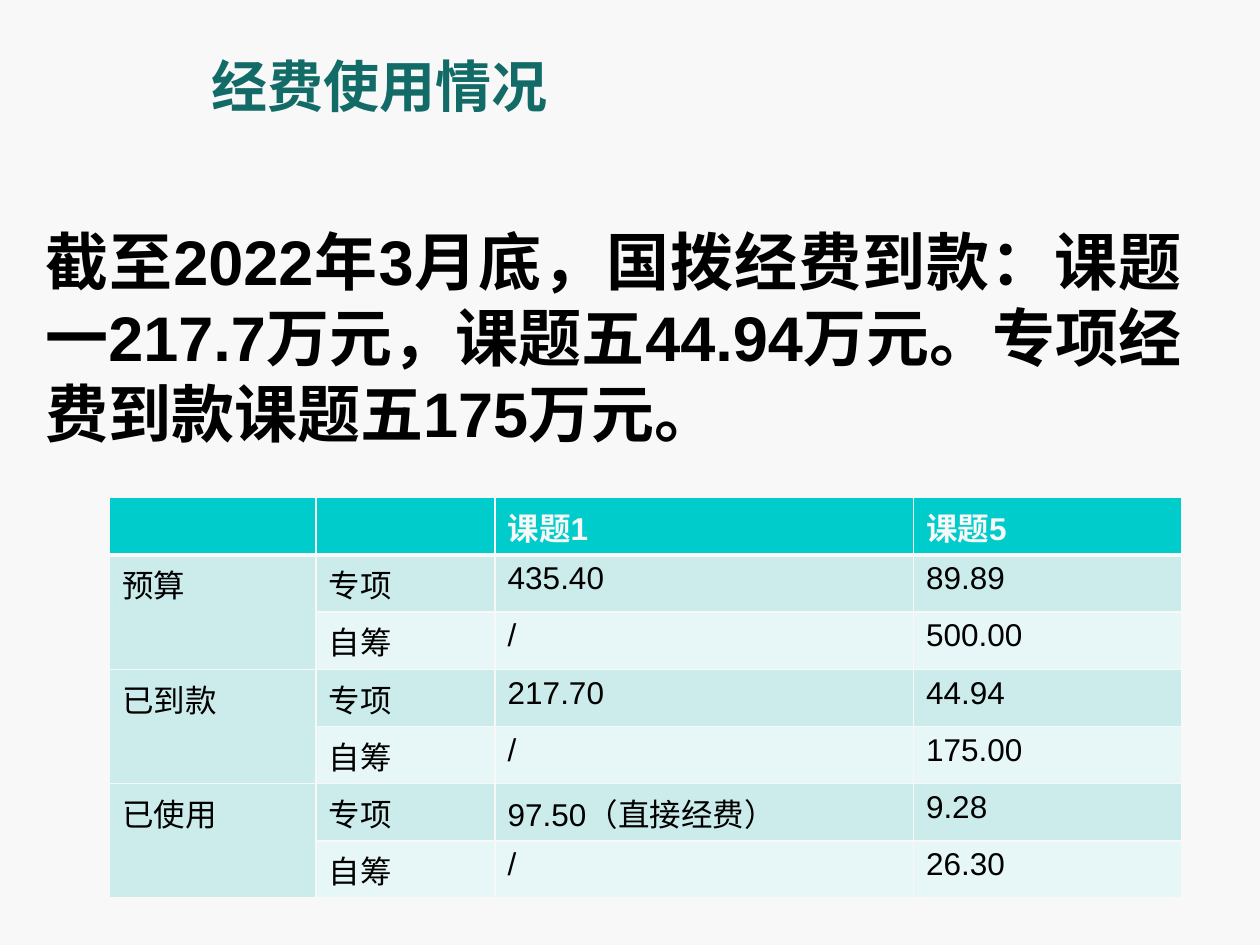
from lxml.etree import SubElement
from pptx import Presentation
from pptx.dml.color import RGBColor
from pptx.enum.text import MSO_ANCHOR, MSO_AUTO_SIZE, PP_ALIGN
from pptx.oxml.ns import qn
from pptx.util import Inches, Pt

PAPER = RGBColor(0xF8, 0xF8, 0xF8)
TEAL = RGBColor(0x13, 0x6B, 0x67)
BLACK = RGBColor(0, 0, 0)
HEAD = RGBColor(0x00, 0xCC, 0xCC)
BANDS = [RGBColor(0xCC, 0xEC, 0xEC), RGBColor(0xE7, 0xF6, 0xF6)]
LATIN, HAN = "Arial", "Noto Sans CJK SC"

ROWS = [
    ["", "", "课题1", "课题5"],
    ["预算", "专项", "435.40", "89.89"],
    ["", "自筹", "/", "500.00"],
    ["已到款", "专项", "217.70", "44.94"],
    ["", "自筹", "/", "175.00"],
    ["已使用", "专项", "97.50（直接经费）", "9.28"],
    ["", "自筹", "/", "26.30"],
]
COLS = [1.64, 1.42, 3.32, 2.13]


def write(para, text, size, color, bold, face=LATIN):
    run = para.add_run()
    run.text = text
    run.font.color.rgb = color
    for key, value in {"size": Pt(size), "bold": bold, "name": face}.items():
        setattr(run.font, key, value)
    # East Asian face follows the Latin one
    latin = run.font._element.find(qn("a:latin"))
    han = latin.makeelement(qn("a:ea"), {"typeface": HAN})
    latin.addnext(han)


def add_text(slide, box, text, size, color, face=LATIN, **style):
    frame = slide.shapes.add_textbox(*map(Inches, box)).text_frame
    format = {"word_wrap": True, "auto_size": MSO_AUTO_SIZE.NONE} | style
    align = format.pop("align", PP_ALIGN.LEFT)
    for key, value in format.items():
        setattr(frame, key, value)
    para = frame.paragraphs[0]
    para.alignment = align
    write(para, text, size, color, True, face)


def add_title(slide, box):
    add_text(slide, box, "经费使用情况", 32, TEAL, HAN,
             vertical_anchor=MSO_ANCHOR.MIDDLE)


def add_summary(slide, box):
    text = ("截至2022年3月底，国拨经费到款：课题一217.7万元，"
            "课题五44.94万元。专项经费到款课题五175万元。")
    add_text(slide, box, text, 36, BLACK, align=PP_ALIGN.JUSTIFY,
             auto_size=MSO_AUTO_SIZE.SHAPE_TO_FIT_TEXT)


def add_edges(cell, row):
    # Thick rule between the header and the body
    thick = {0: "lnB", 1: "lnT"}.get(row)
    props = cell._tc.get_or_add_tcPr()
    for side in ("lnL", "lnR", "lnT", "lnB"):
        width = Pt(3 if side == thick else 1)
        line = SubElement(props, qn(f"a:{side}"), w=str(width))
        fill = SubElement(line, qn("a:solidFill"))
        SubElement(fill, qn("a:srgbClr"), val=str(PAPER))


def add_budget(slide, box):
    frame = slide.shapes.add_table(len(ROWS), len(COLS), *map(Inches, box))
    table = frame.table
    for col, width in zip(table.columns, COLS):
        col.width = Inches(width)
    for r, texts in enumerate(ROWS):
        for c, text in enumerate(texts):
            cell = table.cell(r, c)
            add_edges(cell, r)
            cell.fill.solid()
            band = BANDS[0 if c == 0 else (r - 1) % 2]
            cell.fill.fore_color.rgb = HEAD if r == 0 else band
            if text:
                write(cell.text_frame.paragraphs[0], text, 18,
                      PAPER if r == 0 else BLACK, r == 0)
    # Each category spans two rows
    for r in range(1, len(ROWS), 2):
        table.cell(r, 0).merge(table.cell(r + 1, 0))


def main():
    deck = Presentation()
    deck.slide_width, deck.slide_height = Inches(10), Inches(7.5)
    slide = deck.slides.add_slide(deck.slide_layouts[6])
    slide.background.fill.solid()
    slide.background.fill.fore_color.rgb = PAPER
    add_title(slide, (1.58, 0.05, 8.25, 1.25))
    add_summary(slide, (0.26, 1.72, 9.22, 1.92))
    add_budget(slide, (0.87, 3.95, 8.51, 3.18))
    deck.save("out.pptx")


if __name__ == "__main__":
    main()
